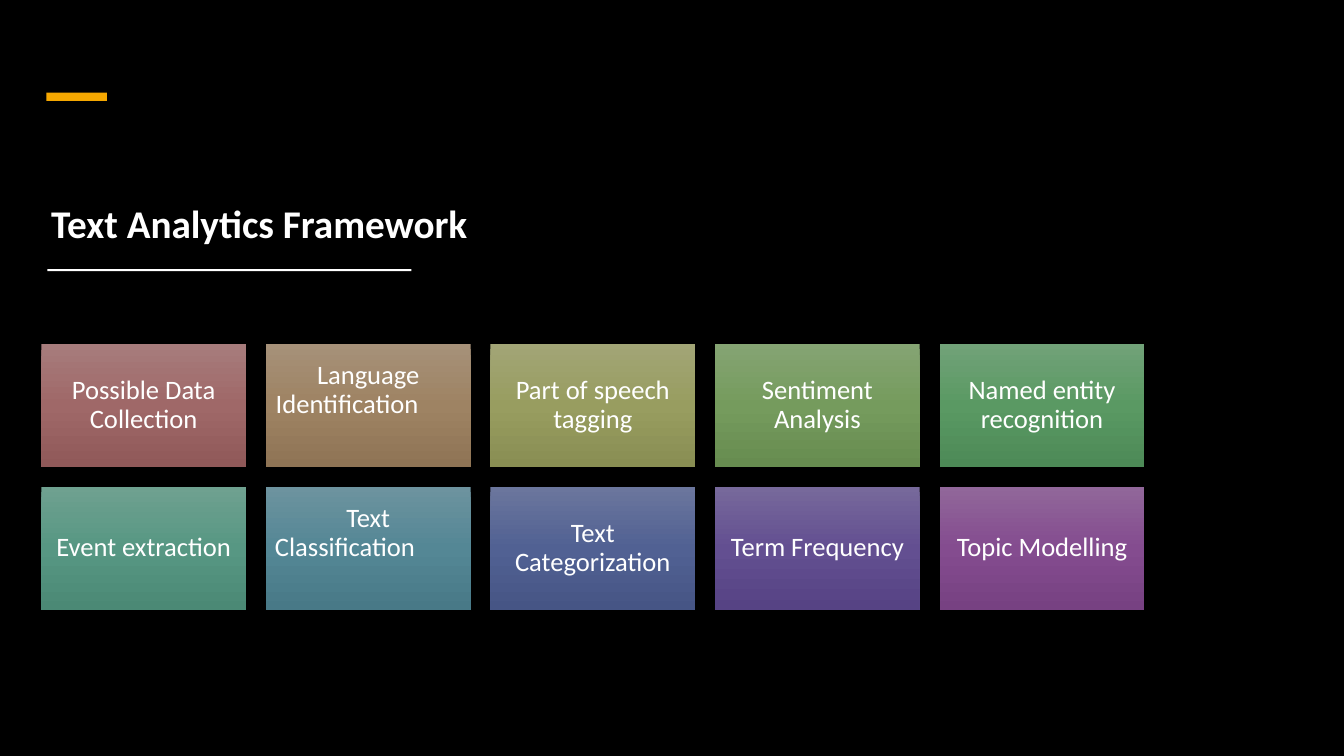
from pptx import Presentation
from pptx import util as u
from pptx.dml.color import RGBColor
from pptx.enum import shapes, text
from pptx.oxml import parse_xml
from pptx.oxml.ns import nsdecls

FONT = "Calibri"
WHITE = "FFFFFF"
INSET = 0.08
TILE_WIDTH, TILE_HEIGHT = 2.03, 1.22
LEFT, TOP = 0.41, 3.41
COLUMN_STEP, ROW_STEP = 2.2275, 1.42
COLUMNS = 5


def rgb(value):
    return RGBColor.from_string(value)


def write(frame, words, size, bold=False):
    frame.word_wrap = True
    para = frame.paragraphs[0]
    para.text = words
    para.line_spacing = 0.9
    font = para.runs[0].font
    font.name, font.size, font.bold = FONT, u.Pt(size), bold
    font.color.rgb = rgb(WHITE)
    return para


deck = Presentation()
deck.slide_width, deck.slide_height = u.Inches(13.33), u.Inches(7.5)
page = deck.slides.add_slide(deck.slide_layouts[6])
page.background.fill.solid()
page.background.fill.fore_color.rgb = rgb("000000")

title = page.shapes.add_textbox(
    u.Inches(0.41), u.Inches(1.27), u.Inches(5.05), u.Inches(1.23)
)
title.text_frame.vertical_anchor = text.MSO_ANCHOR.BOTTOM
write(title.text_frame, "Text Analytics Framework", 28, True)

bars = [
    ((0.46, 0.92, 0.6, 0.08), "F5A700"),
    ((0.47, 2.67, 3.61, 0.02), WHITE),
]
for place, color in bars:
    bar = page.shapes.add_shape(
        shapes.MSO_SHAPE.RECTANGLE, *[u.Inches(length) for length in place]
    )
    bar.shadow.inherit = False
    bar.fill.solid()
    bar.fill.fore_color.rgb = rgb(color)
    bar.line.fill.background()

tiles = [
    ("Possible Data Collection", ("A77C7C", "9F6868", "905959")),
    ("Language Identification", ("A69179", "9E8363", "8F7455")),
    ("Part of speech tagging", ("A2A576", "989D60", "898E53")),
    ("Sentiment Analysis", ("85A473", "759B5D", "678C50")),
    ("Named entity recognition", ("71A278", "5A9963", "4D8A57")),
    ("Event extraction", ("6FA190", "579783", "4B8975")),
    ("Text Classification", ("6D939F", "548795", "487987")),
    ("Text Categorization", ("6B769D", "516193", "465585")),
    ("Term Frequency", ("77699B", "634F91", "564384")),
    ("Topic Modelling", ("91679A", "844C8F", "774182")),
]
second_line_shifts = {"Language Identification": 0.42, "Text Classification": 0.46}

for index, (label, colors) in enumerate(tiles):
    row, column = divmod(index, COLUMNS)
    tile = page.shapes.add_shape(
        shapes.MSO_SHAPE.RECTANGLE,
        u.Inches(LEFT + column * COLUMN_STEP),
        u.Inches(TOP + row * ROW_STEP),
        u.Inches(TILE_WIDTH),
        u.Inches(TILE_HEIGHT),
    )
    stops = "".join(
        f'<a:gs pos="{50000 * step}"><a:srgbClr val="{color}"/></a:gs>'
        for step, color in enumerate(colors)
    )
    gradient = parse_xml(
        f'<a:gradFill {nsdecls("a")} rotWithShape="1"><a:gsLst>{stops}</a:gsLst>'
        '<a:lin ang="5400000" scaled="0"/></a:gradFill>'
    )
    tile.element.spPr.insert(2, gradient)
    tile.line.fill.background()
    tile.shadow.inherit = False

    shift = second_line_shifts.get(label, 0)
    frame = tile.text_frame
    frame.margin_left = frame.margin_top = u.Inches(INSET)
    frame.margin_right = u.Inches(INSET + shift)
    frame.margin_bottom = u.Inches(INSET + (0.29 if shift else 0))
    frame.vertical_anchor = text.MSO_ANCHOR.MIDDLE
    para = write(frame, label, 19)
    para.alignment = text.PP_ALIGN.CENTER
    if shift:
        para._p.get_or_add_pPr().set("indent", str(u.Inches(shift)))

deck.save("out.pptx")
